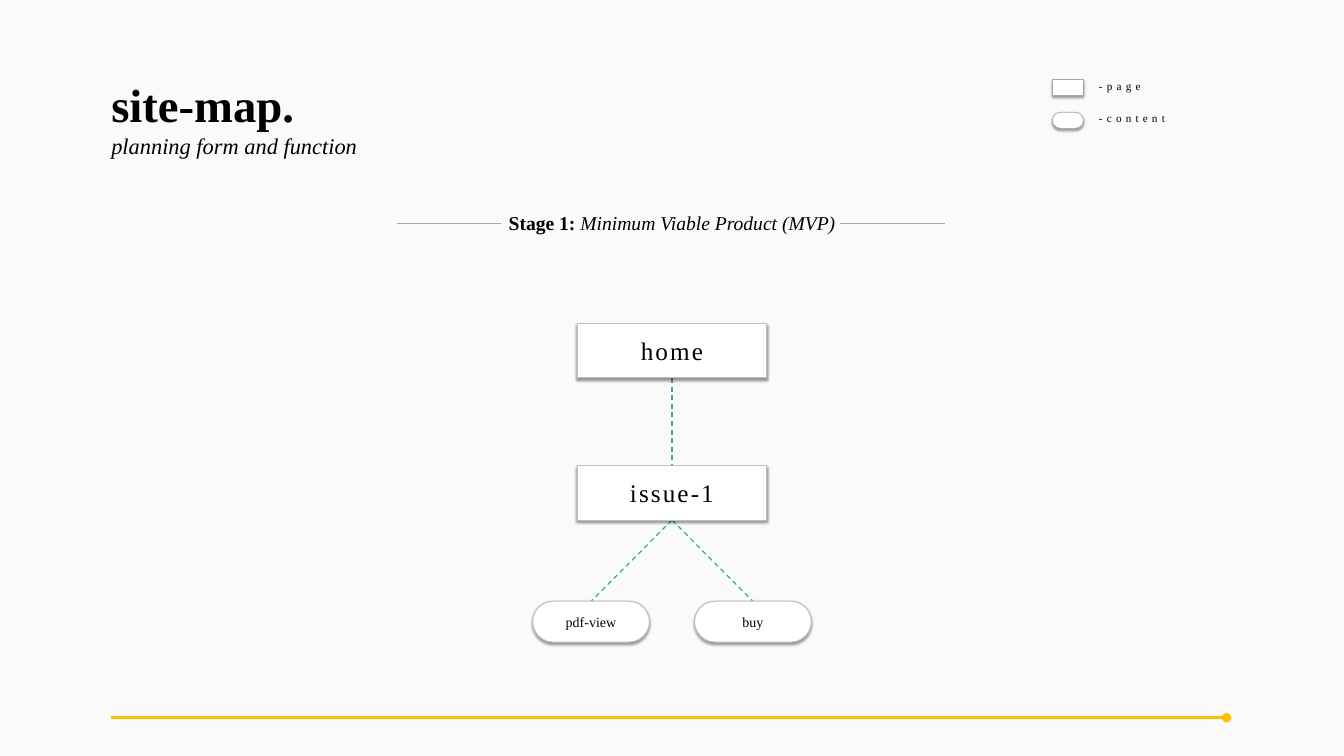
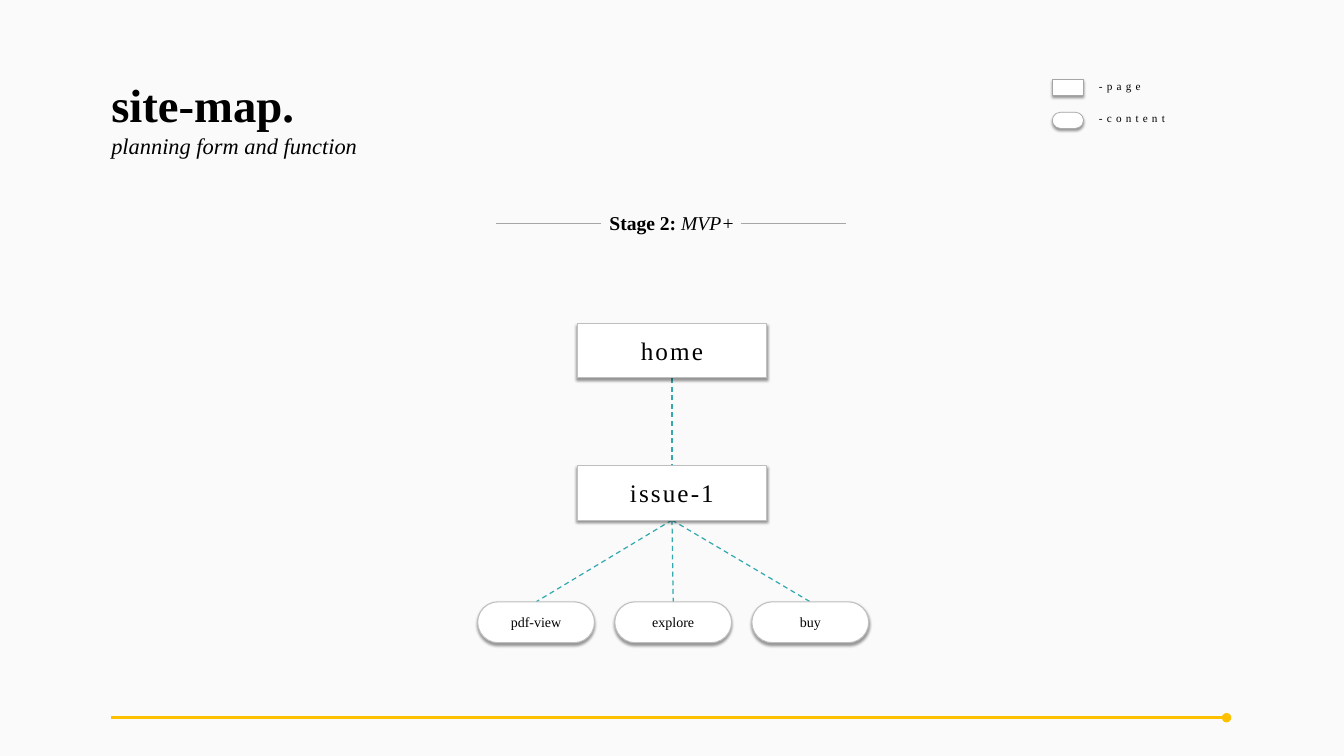
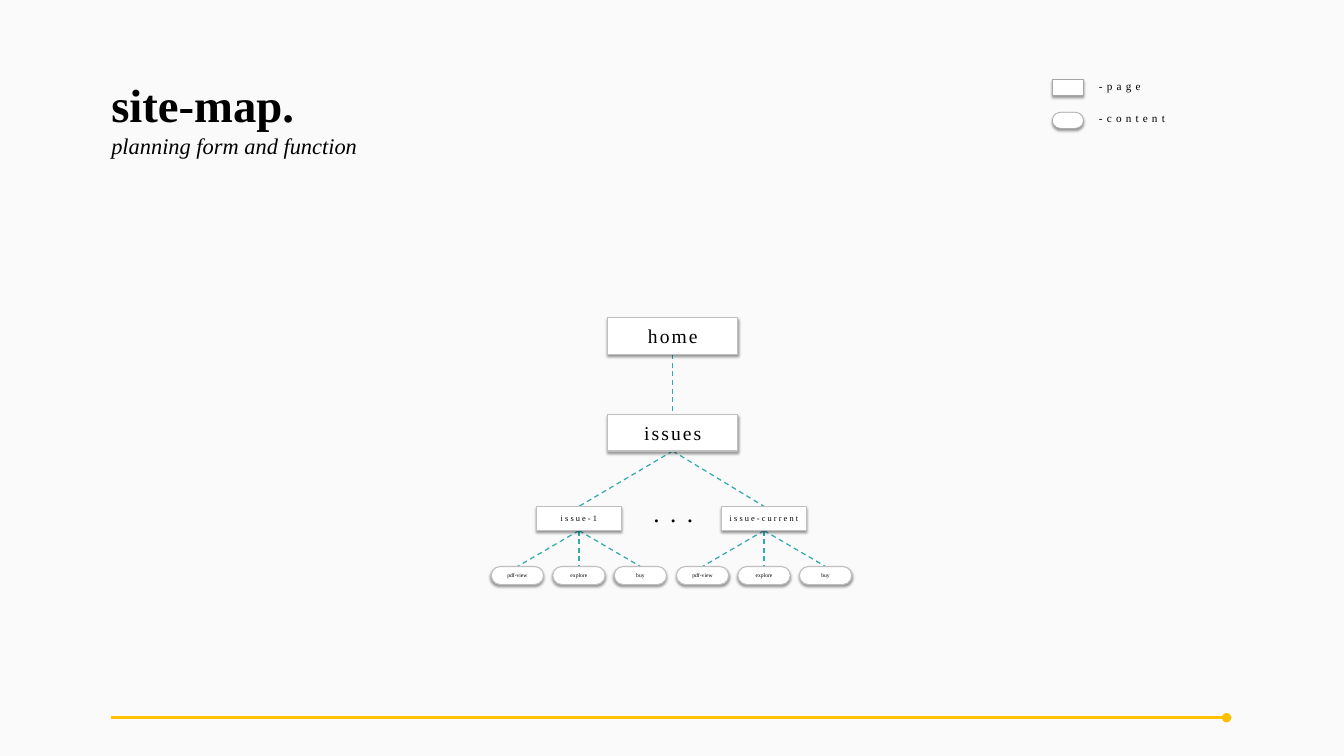
from lxml import etree
from pptx import Presentation
from pptx import util as u
from pptx.dml.color import RGBColor
from pptx.enum import dml, shapes, text
from pptx.oxml import parse_xml
from pptx.oxml.ns import nsdecls, qn

PAPER = RGBColor(0xFA, 0xFA, 0xFA)
WHITE = RGBColor(0xFF, 0xFF, 0xFF)
BLACK = RGBColor(0x00, 0x00, 0x00)
GOLD = RGBColor(0xFF, 0xC0, 0x00)
TEAL = RGBColor(0x33, 0xA9, 0xAF)
GREY = RGBColor(0xA6, 0xA6, 0xA6)
SILVER = RGBColor(0xBF, 0xBF, 0xBF)
FONT = "Times New Roman"
RECT = shapes.MSO_SHAPE.RECTANGLE
PILL = shapes.MSO_SHAPE.ROUNDED_RECTANGLE
SHADOW = (
    f'<a:effectLst {nsdecls("a")}><a:outerShdw blurRad="50800" dist="38100" '
    'dir="5400000" algn="t" rotWithShape="0"><a:srgbClr val="000000">'
    '<a:alpha val="40000"/></a:srgbClr></a:outerShdw></a:effectLst>'
)


def draw_line(page, x1, y1, x2, y2, color, width):
    line = page.shapes.add_connector(
        shapes.MSO_CONNECTOR.STRAIGHT, u.Cm(x1), u.Cm(y1), u.Cm(x2), u.Cm(y2))
    line.line.color.rgb = color
    line.line.width = u.Pt(width)
    etree.SubElement(line._element.spPr, qn("a:effectLst"))
    return line


def draw_card(page, shape, x, y, width, height, color, outline):
    card = page.shapes.add_shape(shape, u.Cm(x), u.Cm(y), u.Cm(width), u.Cm(height))
    if shape == PILL:
        card.adjustments[0] = 0.5
    card.fill.solid()
    card.fill.fore_color.rgb = WHITE
    card.line.color.rgb = color
    card.line.width = u.Pt(outline)
    card._element.spPr.append(parse_xml(SHADOW))
    return card


# shape, width, height, text size, letter spacing
CARDS = {
    "page": (RECT, 9.55, 2.74, 36, 3),
    "content": (PILL, 5.89, 2.06, 20, 0),
    "section": (RECT, 6.55, 1.85, 28, 3),
    "issue": (RECT, 4.27, 1.22, 12, 3),
    "leaf": (PILL, 2.64, 0.91, 8, 0),
}
CONTENTS = ["pdf-view", "explore", "buy"]
MIDDLE = 33.87

# label, card, centre, top, parent index
trunk = [("home", "page", MIDDLE, 16.31, None), ("issue-1", "page", MIDDLE, 23.47, 0)]
first_tree = trunk + [
    ("pdf-view", "content", MIDDLE - 4.08, 30.3, 1),
    ("buy", "content", MIDDLE + 4.08, 30.3, 1),
]
second_tree = trunk + [
    (label, "content", MIDDLE + 0.06 + (i - 1) * 6.91, 30.33, 1)
    for i, label in enumerate(CONTENTS)
]
third_tree = [
    ("home", "section", 33.91, 16, None),
    ("issues", "section", 33.91, 20.88, 0),
    ("issue-1", "issue", 29.18, 25.52, 1),
    ("issue-current", "issue", 38.51, 25.52, 1),
]
for parent in (2, 3):
    centre = third_tree[parent][2]
    third_tree += [
        (label, "leaf", centre + (i - 1) * 3.1, 28.55, parent)
        for i, label in enumerate(CONTENTS)
    ]

# stage, stage name, left ends of the two rules, tree
PAGES = [
    ("Stage 1: ", "Minimum Viable Product (MVP)", (19.99, 42.34), first_tree),
    ("Stage 2: ", "MVP+", (25.02, 37.34), second_tree),
    (None, None, (), third_tree),
]

deck = Presentation()
deck.slide_width = u.Cm(67.74)
deck.slide_height = u.Cm(38.1)

for stage, stage_name, rules, tree in PAGES:
    page = deck.slides.add_slide(deck.slide_layouts[6])
    page.background.fill.solid()
    page.background.fill.fore_color.rgb = PAPER

    footer = draw_line(page, 5.61, 36.17, 61.82, 36.17, GOLD, 4.5)
    etree.SubElement(footer.line._get_or_add_ln(), qn("a:tailEnd"), type="oval")

    box = page.shapes.add_textbox(u.Cm(5.36), u.Cm(3.48), u.Cm(19.18), u.Cm(3.07))
    frame = box.text_frame
    frame.word_wrap = True
    frame.margin_top = u.Cm(0.35)
    frame.text = "site-map.\nplanning form and function"
    for para, size, bold in zip(frame.paragraphs, (66.7, 32), (True, False)):
        para.font.name = FONT
        para.font.size = u.Pt(size)
        para.font.bold = bold
        para.font.italic = not bold
        para.font.color.rgb = BLACK

    if stage:
        box = page.shapes.add_textbox(0, u.Cm(10.49), deck.slide_width, u.Cm(1.45))
        box.text_frame.word_wrap = True
        para = box.text_frame.paragraphs[0]
        para.alignment = text.PP_ALIGN.CENTER
        para.font.name = FONT
        para.font.size = u.Pt(28)
        para.font.color.rgb = BLACK
        for words, bold in ((stage, True), (stage_name, False)):
            span = para.add_run()
            span.text = words
            span.font.bold = bold
            span.font.italic = not bold
    for left in rules:
        draw_line(page, left, 11.23, left + 5.28, 11.23, GREY, 0.5)

    for label, kind, centre, top, parent in tree:
        if parent is not None:
            _, parent_kind, parent_centre, parent_top, _ = tree[parent]
            branch = draw_line(page, parent_centre, parent_top + CARDS[parent_kind][2],
                               centre, top, TEAL, 1.75)
            branch.line.dash_style = dml.MSO_LINE.DASH

    captions = []
    for label, kind, centre, top, parent in tree:
        shape, width, height, size, spacing = CARDS[kind]
        card = draw_card(page, shape, centre - width / 2, top, width, height, SILVER, 1.5)
        card.text_frame.vertical_anchor = text.MSO_ANCHOR.MIDDLE
        captions.append((card, label, size, spacing, text.PP_ALIGN.CENTER))

    if not stage:
        box = page.shapes.add_textbox(u.Cm(32.26), u.Cm(24.94), u.Cm(3.35), u.Cm(1.8))
        captions.append((box, ". . .", 36, 3, text.PP_ALIGN.CENTER))

    for shape, label, top in ((RECT, "-page", 4.01), (PILL, "-content", 5.66)):
        draw_card(page, shape, 53.04, top, 1.57, 0.81, GREY, 1)
        box = page.shapes.add_textbox(u.Cm(55.14), u.Cm(top - 0.15), u.Cm(10.9), u.Cm(0.94))
        captions.append((box, label, 16, 6, text.PP_ALIGN.LEFT))

    for holder, label, size, spacing, alignment in captions:
        holder.text_frame.word_wrap = True
        para = holder.text_frame.paragraphs[0]
        para.alignment = alignment
        para.font.name = FONT
        para.font.size = u.Pt(size)
        para.font.color.rgb = BLACK
        span = para.add_run()
        span.text = label
        if spacing:
            span._r.get_or_add_rPr().set("spc", str(spacing * 100))

deck.save("out.pptx")
